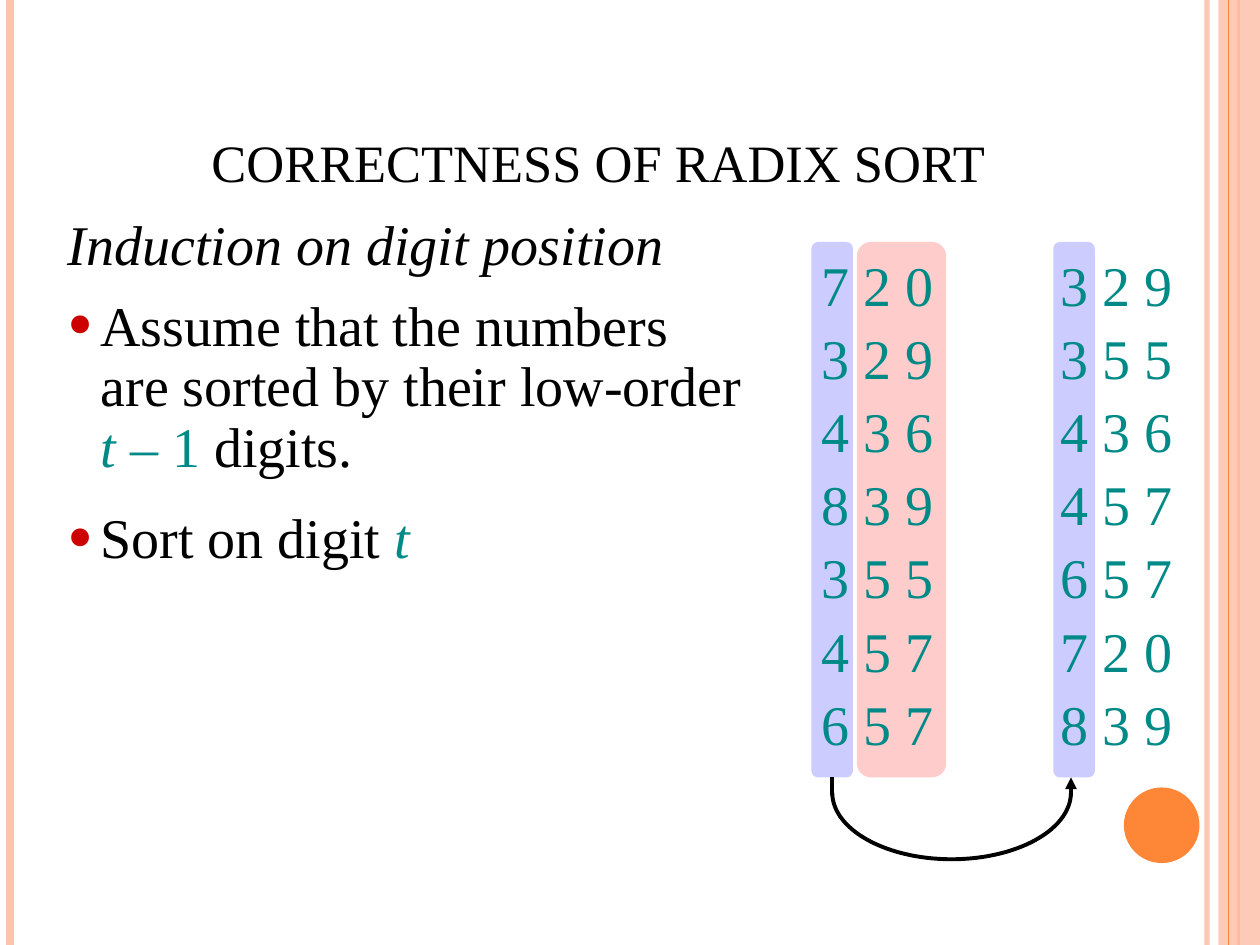
import math
from dataclasses import dataclass

import lxml.etree
import pptx
import pptx.dml.color
import pptx.enum.shapes
import pptx.enum.text
import pptx.oxml.ns
import pptx.util

Inches, Pt = pptx.util.Inches, pptx.util.Pt
MSO_SHAPE = pptx.enum.shapes.MSO_SHAPE
PP_ALIGN = pptx.enum.text.PP_ALIGN
MSO_ANCHOR = pptx.enum.text.MSO_ANCHOR

FONT = "Times New Roman"
BLACK, TEAL, RED = "000000", "008A87", "CC0000"
ORANGE, PEACH = "FE8637", "FEC3AE"
LAVENDER, PINK = "CCCCFF", "FFCCCC"


@dataclass
class Run:
    text: str
    color: str = BLACK
    italic: bool = False


@dataclass
class Paragraph:
    runs: list[Run]
    bullet: bool = False


@dataclass
class Rule:
    x: float
    color: str
    width: float
    opacity: int = 100


@dataclass
class Band:
    left: float
    width: float
    color: str

    @property
    def center(self) -> float:
        return self.left + self.width / 2


@dataclass
class NumberColumn:
    left: float
    numbers: list[str]


def rgb(color: str) -> pptx.dml.color.RGBColor:
    return pptx.dml.color.RGBColor.from_string(color)


def add_child(parent, tag: str, **attributes: str):
    return lxml.etree.SubElement(parent, pptx.oxml.ns.qn(tag), attributes)


def set_opacity(element, percent: int) -> None:
    for color in element.iter(pptx.oxml.ns.qn("a:srgbClr")):
        add_child(color, "a:alpha", val=str(percent * 1000))


def add_filled(slide, kind, left: float, top: float, width: float, height: float, color: str):
    shape = slide.shapes.add_shape(
        kind, Inches(left), Inches(top), Inches(width), Inches(height))
    shape.shadow.inherit = False
    shape.fill.solid()
    shape.fill.fore_color.rgb = rgb(color)
    shape.line.fill.background()
    return shape


def add_line(slide, x: float, start: float, end: float, color: str, width: float):
    line = slide.shapes.add_connector(
        pptx.enum.shapes.MSO_CONNECTOR.STRAIGHT,
        Inches(x), Inches(start), Inches(x), Inches(end))
    line.line.color.rgb = rgb(color)
    line.line.width = Pt(width)
    add_child(line._element.spPr, "a:effectLst")
    return line


def add_bullet(paragraph) -> None:
    properties = paragraph._p.get_or_add_pPr()
    add_child(add_child(properties, "a:buClr"), "a:srgbClr", val=RED)
    add_child(properties, "a:buSzPct", val="133000")
    add_child(properties, "a:buFont", typeface=FONT)
    add_child(properties, "a:buChar", char="•")


def add_runs(paragraph, runs: list[Run], size: int) -> None:
    for part in runs:
        run = paragraph.add_run()
        run.text = part.text
        run.font.name = FONT
        run.font.size = Pt(size)
        run.font.italic = part.italic
        run.font.color.rgb = rgb(part.color)


def add_frame(slide, left: float, top: float, width: float, height: float, wrap: bool = True):
    box = slide.shapes.add_textbox(Inches(left), Inches(top), Inches(width), Inches(height))
    box.text_frame.word_wrap = wrap
    return box.text_frame


def add_body(slide, top: float, height: float, paragraphs: list[Paragraph]) -> None:
    frame = add_frame(slide, 0.44, top, 5.57, height)
    for index, content in enumerate(paragraphs):
        paragraph = frame.add_paragraph() if index else frame.paragraphs[0]
        properties = paragraph._p.get_or_add_pPr()
        properties.set("marL", str(Inches(0.26)))
        properties.set("indent", str(-Inches(0.26)))
        if content.bullet:
            add_bullet(paragraph)
        paragraph.line_spacing = 0.9
        if index:
            paragraph.space_before = Pt(11.9)
        add_runs(paragraph, content.runs, 32)


def add_band(slide, band: Band):
    shape = add_filled(slide, MSO_SHAPE.ROUNDED_RECTANGLE,
                       band.left, 1.92, band.width, 4.25, band.color)
    shape.adjustments[0] = 0.16
    return shape


def add_numbers(slide, column: NumberColumn) -> None:
    for row, number in enumerate(column.numbers):
        frame = add_frame(slide, column.left, 1.94 + 0.58 * row, 1.09, 0.64, wrap=False)
        frame.paragraphs[0].alignment = PP_ALIGN.CENTER
        add_runs(frame.paragraphs[0], [Run(number, TEAL)], 32)


def add_arc(slide, left: float, right: float, top: float, depth: float) -> None:
    center, radius, steps = (left + right) / 2, (right - left) / 2, 60
    points = [(Inches(center - radius * math.cos(math.pi * i / steps)),
               Inches(top + depth * math.sin(math.pi * i / steps)))
              for i in range(steps + 1)]
    builder = slide.shapes.build_freeform(*points[0])
    builder.add_line_segments(points[1:], close=False)
    arc = builder.convert_to_shape()
    arc.shadow.inherit = False
    arc.fill.background()
    arc.line.color.rgb = rgb(BLACK)
    arc.line.width = Pt(2.25)


def main() -> None:
    deck = pptx.Presentation()
    deck.slide_width, deck.slide_height = Inches(10), Inches(7.5)
    slide = deck.slides.add_slide(deck.slide_layouts[6])

    # Page edges
    for rule in [Rule(9.58, PEACH, 3, 92), Rule(0.08, PEACH, 4.5), Rule(9.83, ORANGE, 1.5)]:
        line = add_line(slide, rule.x, 0, 7.5, rule.color, rule.width)
        if rule.opacity < 100:
            set_opacity(line._element.spPr, rule.opacity)
    strip = add_filled(slide, MSO_SHAPE.RECTANGLE, 9.67, 0, 0.33, 7.5, PEACH)
    set_opacity(strip._element.spPr, 87)
    add_line(slide, 9.75, 0, 7.5, ORANGE, 0.75)
    add_filled(slide, MSO_SHAPE.OVAL, 8.92, 6.25, 0.6, 0.6, ORANGE)

    # Title and induction argument
    title = add_frame(slide, 1.58, 0.33, 8.25, 1.25)
    title.vertical_anchor = MSO_ANCHOR.BOTTOM
    add_runs(title.paragraphs[0], [Run("CORRECTNESS OF RADIX SORT")], 30)
    add_body(slide, 1.67, 2.19, [
        Paragraph([Run("Induction on digit position", italic=True)]),
        Paragraph([Run("Assume that the numbers are sorted by their low-order "),
                   Run("t ", TEAL, True), Run("– 1", TEAL), Run(" digits.")], bullet=True),
    ])
    add_body(slide, 4, 0.58, [
        Paragraph([Run("Sort on digit "), Run("t", TEAL, True)], bullet=True),
    ])

    # Numbers before and after sorting on the leading digit
    unsorted_digit = Band(6.44, 0.33, LAVENDER)
    unsorted_band = add_band(slide, unsorted_digit)
    add_band(slide, Band(8.36, 0.33, LAVENDER))
    add_band(slide, Band(6.8, 0.71, PINK))
    before = ["7 2 0", "3 2 9", "4 3 6", "8 3 9", "3 5 5", "4 5 7", "6 5 7"]
    for column in [NumberColumn(6.42, before), NumberColumn(8.32, sorted(before))]:
        add_numbers(slide, column)

    # Arrow from the unsorted digit to the sorted digit
    arc_left, arc_right = unsorted_digit.center, 8.5
    arrow = add_line(slide, arc_right, 6.31, 6.17, BLACK, 2.25)
    add_child(arrow.line._get_or_add_ln(), "a:tailEnd", type="triangle")
    add_arc(slide, arc_left, arc_right, 6.29, 0.53)
    stem = add_line(slide, arc_left, 6.31, 6.17, BLACK, 2.25)
    stem.end_connect(unsorted_band, 2)

    deck.save("out.pptx")


if __name__ == "__main__":
    main()
